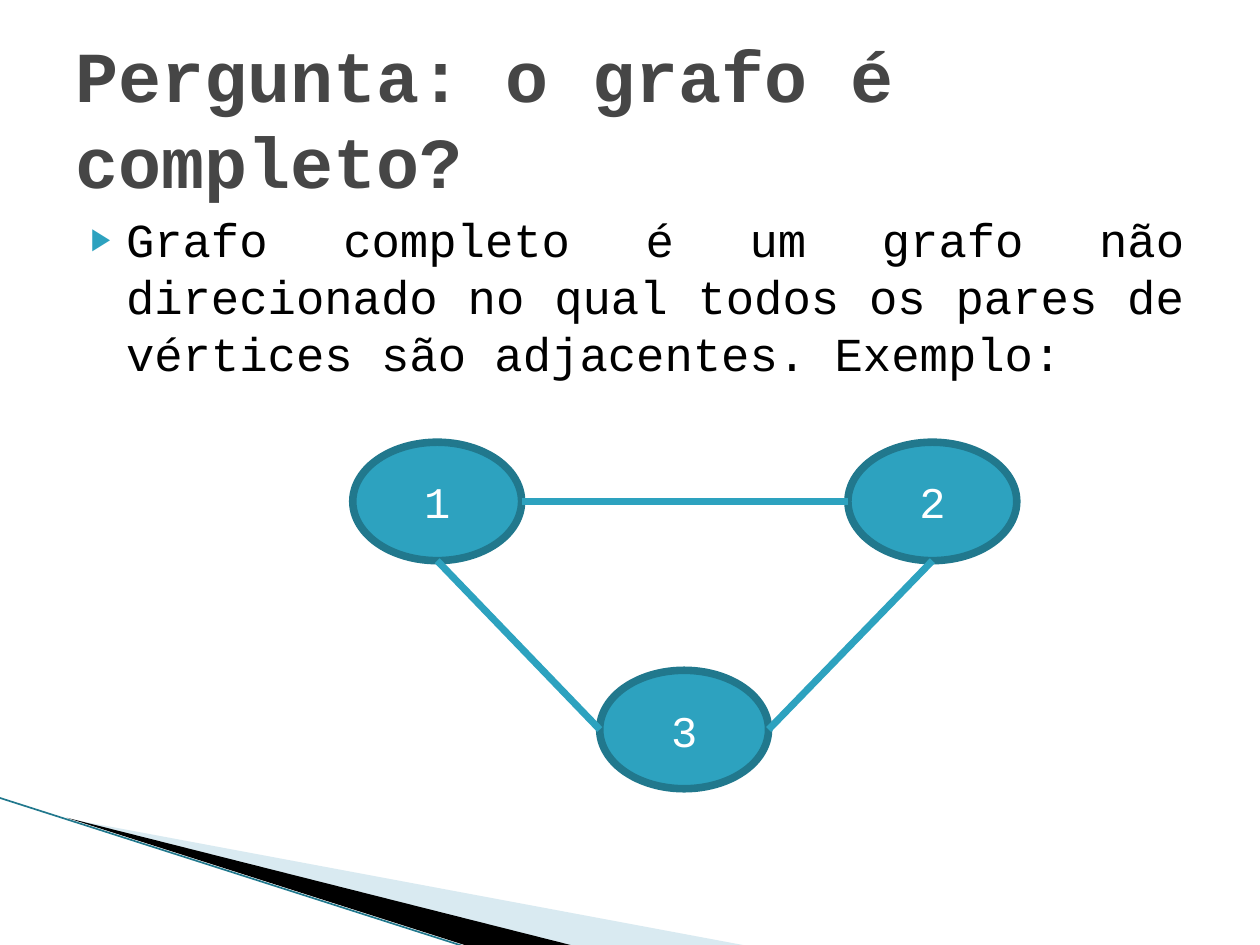
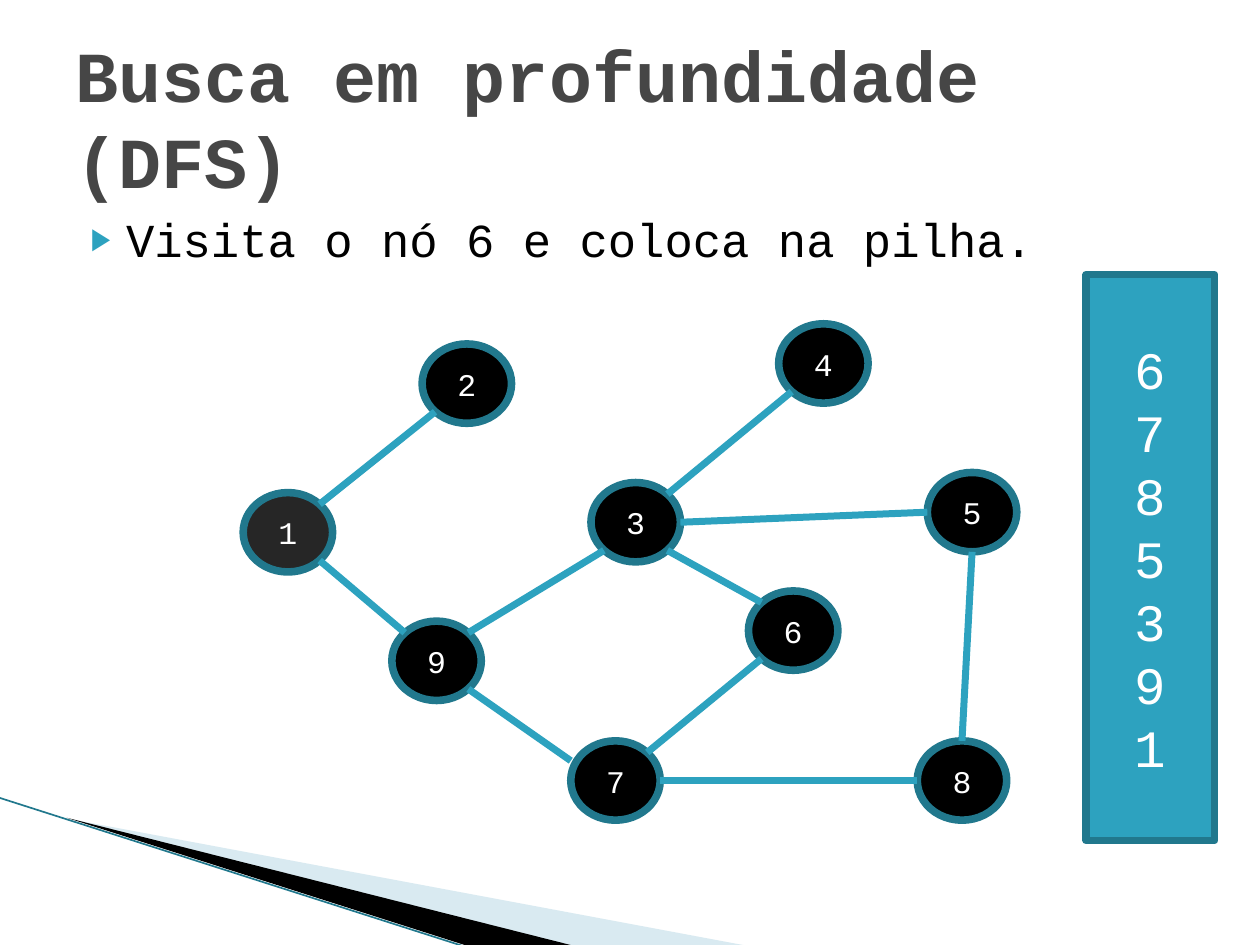
import pptx
import pptx.util
import pptx.dml.color
import pptx.enum.dml
import pptx.enum.shapes
import pptx.enum.text
import pptx.oxml
import pptx.oxml.ns
import lxml.etree

Inches = pptx.util.Inches
Pt = pptx.util.Pt
RGBColor = pptx.dml.color.RGBColor
qn = pptx.oxml.ns.qn
SHAPE = pptx.enum.shapes.MSO_SHAPE
ALIGN = pptx.enum.text.PP_ALIGN
MIDDLE = pptx.enum.text.MSO_ANCHOR.MIDDLE
TOP = pptx.enum.text.MSO_ANCHOR.TOP

FONT = "Courier New"
TEAL = RGBColor(0x2D, 0xA2, 0xBF)
DARK_TEAL = RGBColor(0x21, 0x78, 0x8D)
PALE_BLUE = RGBColor(0xA0, 0xCB, 0xDC)
TITLE_GREY = RGBColor(0x46, 0x46, 0x46)
START_GREY = RGBColor(0x26, 0x26, 0x26)
BLACK = RGBColor(0, 0, 0)
WHITE = RGBColor(0xFF, 0xFF, 0xFF)

# Points on an ellipse, as shares of its half width and half height
DIAGONAL = 0.71
SITES = {
    "top": (0, -1), "bottom": (0, 1), "left": (-1, 0), "right": (1, 0),
    "top left": (-DIAGONAL, -DIAGONAL), "top right": (DIAGONAL, -DIAGONAL),
    "bottom left": (-DIAGONAL, DIAGONAL), "bottom right": (DIAGONAL, DIAGONAL),
    "upper left": (-1, -0.5),
}


def add_box(slide, kind, box, text, size, fill):
    """Add an outlined shape with centred white text, one paragraph a line."""
    shape = slide.shapes.add_shape(kind, *map(Inches, box))
    shape.shadow.inherit = False
    shape.fill.solid()
    shape.fill.fore_color.rgb = fill
    shape.line.color.rgb = DARK_TEAL
    shape.line.width = Pt(4.33)
    shape.text_frame.text = text
    shape.text_frame.vertical_anchor = MIDDLE
    for paragraph in shape.text_frame.paragraphs:
        paragraph.alignment = ALIGN.CENTER
        paragraph.font.name = FONT
        paragraph.font.size = Pt(size)
        paragraph.font.color.rgb = WHITE
    return shape


def add_line(slide, begin, end, color, width):
    """Add a straight line without shadow between two points in EMU."""
    line = slide.shapes.add_connector(
        pptx.enum.shapes.MSO_CONNECTOR.STRAIGHT, *begin, *end)
    line.line.color.rgb = color
    line.line.width = Pt(width)
    lxml.etree.SubElement(line.element.spPr, qn("a:effectLst"))
    return line


presentation = pptx.Presentation()
presentation.slide_width = Inches(10)
presentation.slide_height = Inches(7.5)
layout = presentation.slide_layouts[1]

# Title and body places, shared through the layout
for placeholder, box in zip(layout.placeholders,
                            [(0.5, 0.3, 9, 1.25), (0.5, 1.62, 9, 4.95)]):
    placeholder.left, placeholder.top, placeholder.width, placeholder.height = map(Inches, box)

slide_texts = [
    ("Pergunta: o grafo é completo?",
     "Grafo completo é um grafo não direcionado no qual todos os pares de "
     "vértices são adjacentes. Exemplo:"),
    ("Busca em profundidade (DFS)", "Visita o nó 6 e coloca na pilha."),
]
slides = []
for heading, statement in slide_texts:
    slide = presentation.slides.add_slide(layout)
    slides.append(slide)
    title, body = slide.placeholders
    for placeholder, text, size, color, anchor in (
            (title, heading, 41, TITLE_GREY, MIDDLE),
            (body, statement, 27, BLACK, TOP)):
        frame = placeholder.text_frame
        frame.text = text
        frame.word_wrap = True
        frame.auto_size = pptx.enum.text.MSO_AUTO_SIZE.NONE
        frame.vertical_anchor = anchor
        font = frame.paragraphs[0].font
        font.name = FONT
        font.size = Pt(size)
        font.color.rgb = color

    title.text_frame.paragraphs[0].alignment = ALIGN.LEFT
    title.text_frame.paragraphs[0].font.bold = True

    item = body.text_frame.paragraphs[0]
    item.alignment = ALIGN.JUSTIFY
    item.space_before = Pt(4)
    properties = item._p.get_or_add_pPr()
    properties.set("marL", str(Inches(0.4)))
    properties.set("indent", str(Inches(-0.28)))
    bullet_color = lxml.etree.Element(qn("a:buClr"))
    lxml.etree.SubElement(bullet_color, qn("a:srgbClr"), val=str(TEAL))
    bullet_size = lxml.etree.Element(qn("a:buSzPct"), val="65000")
    bullet = lxml.etree.Element(qn("a:buChar"), char="▶")
    position = properties.index(properties.find(qn("a:spcBef"))) + 1
    properties[position:position] = [bullet_color, bullet_size, bullet]

complete_slide, search_slide = slides

# Corner wedges: drawn once, then moved to the back of the layout
wedges = [
    ([(0.55, 6.5), (5.95, 7.51), (4.56, 7.51)], PALE_BLUE),
    ([(0.53, 6.49), (4.57, 7.51), (3.72, 7.51)], BLACK),
]
corner = []
for points, color in wedges:
    start, *others = [tuple(map(Inches, point)) for point in points]
    builder = complete_slide.shapes.build_freeform(*start)
    builder.add_line_segments(others, close=True)
    wedge = builder.convert_to_shape()
    wedge.shadow.inherit = False
    wedge.fill.solid()
    wedge.fill.fore_color.rgb = color
    wedge.line.fill.background()
    corner.append(wedge)
pale_color = corner[0].element.spPr.find(qn("a:solidFill"))[0]
lxml.etree.SubElement(pale_color, qn("a:alpha"), val="40000")
corner.append(add_line(complete_slide, (Inches(-0.01), Inches(6.33)),
                       (Inches(3.71), Inches(7.52)), DARK_TEAL, 0.95))
for index, part in enumerate(corner):
    layout.shapes.element.insert(2 + index, part.element)

# Each graph: slide, node size, text size, node places, fills, edges
graphs = [
    (complete_slide, (1.34, 0.94), 25,
     {1: (2.8, 3.51), 2: (6.73, 3.51), 3: (4.76, 5.32)},
     {node: TEAL for node in (1, 2, 3)},
     [(1, "bottom", 3, "left"), (1, "right", 2, "left"),
      (3, "right", 2, "bottom")]),
    (search_slide, (0.71, 0.63), 18,
     {2: (3.35, 2.73), 1: (1.93, 3.91), 9: (3.11, 4.93), 7: (4.53, 5.88),
      8: (7.28, 5.88), 6: (5.94, 4.69), 3: (4.69, 3.83), 4: (6.18, 2.57),
      5: (7.36, 3.75)},
     {1: START_GREY},
     [(1, "top right", 2, "bottom left"), (1, "bottom right", 9, "top left"),
      (9, "bottom right", 7, "upper left"), (7, "right", 8, "left"),
      (9, "top right", 3, "bottom left"), (7, "top right", 6, "bottom left"),
      (3, "right", 5, "left"), (5, "bottom", 8, "top"),
      (3, "bottom right", 6, "top left"), (3, "top right", 4, "bottom left")]),
]
for slide, node_size, text_size, places, fills, edges in graphs:
    nodes = {}
    for number, place in places.items():
        nodes[number] = add_box(slide, SHAPE.OVAL, place + node_size,
                                str(number), text_size, fills.get(number, BLACK))
    for origin, origin_site, target, target_site in edges:
        ends = []
        for number, site in ((origin, origin_site), (target, target_site)):
            node = nodes[number]
            across, down = SITES[site]
            ends.append((int(node.left + node.width * (1 + across) / 2),
                         int(node.top + node.height * (1 + down) / 2)))
        add_line(slide, *ends, TEAL, 4)

# Stack of visited nodes, latest on top
add_box(search_slide, SHAPE.RECTANGLE, (8.62, 2.18, 1.02, 4.49),
        "\n".join("6785391"), 30, TEAL)

presentation.save("out.pptx")
